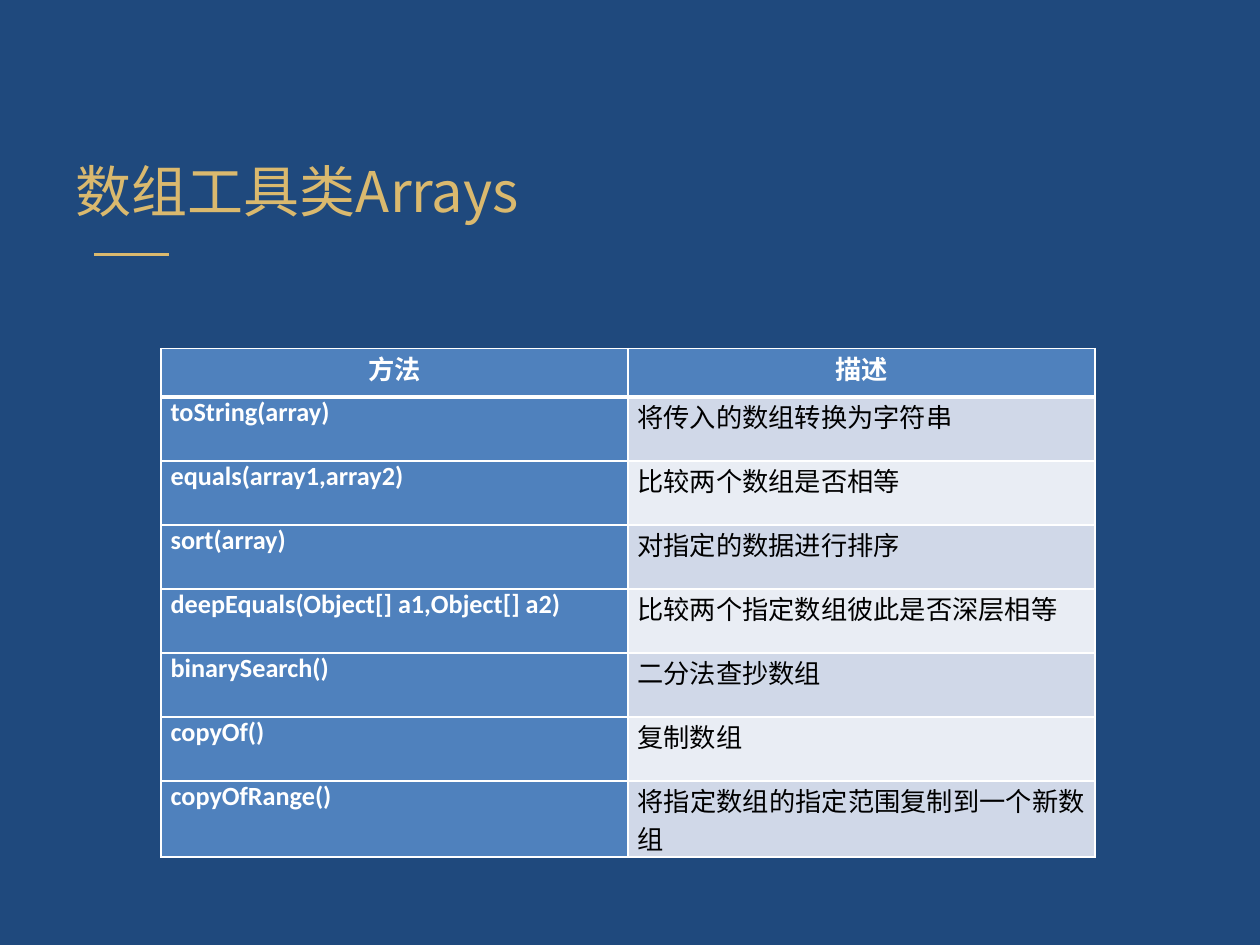
from dataclasses import dataclass

from lxml.etree import SubElement
from pptx import Presentation
from pptx.dml.color import RGBColor as RGB
from pptx.enum.shapes import MSO_CONNECTOR as CONN
from pptx.enum.text import MSO_ANCHOR as ANCHOR, PP_ALIGN as ALIGN
from pptx.oxml.ns import qn
from pptx.util import Cm, Pt


@dataclass(frozen=True)
class Theme:
    background: str = "1F497D"
    gold: str = "DAB96E"
    header: str = "4F81BD"
    bands: tuple = ("D0D8E8", "E9EDF4")
    white: str = "FFFFFF"
    black: str = "000000"
    latin: str = "Calibri"
    cjk: str = "Noto Sans CJK SC"
    title_size: int = 32
    table_size: int = 15


class SlideBuilder:
    def __init__(self, prs, theme):
        self.theme = theme
        self.s = prs.slides.add_slide(prs.slide_layouts[5])
        fill = self.s.background.fill
        fill.solid()
        fill.fore_color.rgb = RGB.from_string(theme.background)

    def run(self, p, text, size, color, font, bold=False):
        r = p.add_run()
        r.text = text
        r.font.size = Pt(size)
        r.font.bold = bold
        r.font.name = font
        r.font.color.rgb = RGB.from_string(color)
        SubElement(r._r.get_or_add_rPr(), qn("a:ea"), typeface=self.theme.cjk)

    def title(self, text, left, top, width, height):
        t = self.theme
        sp = self.s.shapes.title
        sp.left, sp.top, sp.width, sp.height = map(Cm, (left, top, width, height))
        tf = sp.text_frame
        tf.vertical_anchor = ANCHOR.MIDDLE
        p = tf.paragraphs[0]
        p.alignment = ALIGN.LEFT
        self.run(p, text, t.title_size, t.gold, t.cjk)

    def rule(self, left, top, width):
        line = self.s.shapes.add_connector(
            CONN.STRAIGHT, Cm(left), Cm(top), Cm(left + width), Cm(top))
        line.line.color.rgb = RGB.from_string(self.theme.gold)
        line.line.width = Pt(1.5)
        SubElement(line._element.spPr, qn("a:effectLst"))

    def borders(self, cell, top, bottom):
        tcPr = cell._tc.get_or_add_tcPr()
        for side, width in (("L", 1), ("R", 1), ("T", top), ("B", bottom)):
            ln = SubElement(tcPr, qn(f"a:ln{side}"), w=str(Pt(width)))
            fill = SubElement(ln, qn("a:solidFill"))
            SubElement(fill, qn("a:srgbClr"), val=self.theme.white)

    def cell(self, cell, text, fill, color, bold, align, top=1, bottom=1):
        cell.margin_left = cell.margin_right = Cm(0.19)
        cell.margin_top = cell.margin_bottom = 0
        self.borders(cell, top, bottom)
        cell.fill.solid()
        cell.fill.fore_color.rgb = RGB.from_string(fill)
        p = cell.text_frame.paragraphs[0]
        p.alignment = align
        self.run(p, text, self.theme.table_size, color, self.theme.latin, bold)

    def table(self, headings, rows, left, top, width, head_height, row_height):
        t = self.theme
        height = head_height + row_height * len(rows)
        table = self.s.shapes.add_table(
            len(rows) + 1, len(headings),
            Cm(left), Cm(top), Cm(width), Cm(height)).table
        for row in table.rows:
            row.height = Cm(row_height)
        table.rows[0].height = Cm(head_height)
        for j, heading in enumerate(headings):
            self.cell(table.cell(0, j), heading, t.header, t.white, True,
                      ALIGN.CENTER, bottom=3)
        for i, (method, description) in enumerate(rows, 1):
            edge = 3 if i == 1 else 1
            self.cell(table.cell(i, 0), method, t.header, t.white, True,
                      ALIGN.JUSTIFY, top=edge)
            self.cell(table.cell(i, 1), description, t.bands[(i - 1) % 2],
                      t.black, False, ALIGN.JUSTIFY, top=edge)


METHODS = [
    ("toString(array)", "将传入的数组转换为字符串"),
    ("equals(array1,array2)", "比较两个数组是否相等"),
    ("sort(array)", "对指定的数据进行排序"),
    ("deepEquals(Object[] a1,Object[] a2)", "比较两个指定数组彼此是否深层相等"),
    ("binarySearch()", "二分法查抄数组"),
    ("copyOf()", "复制数组"),
    ("copyOfRange()", "将指定数组的指定范围复制到一个新数组"),
]


def main():
    prs = Presentation()
    prs.slide_width, prs.slide_height = Cm(25.4), Cm(19.05)
    slide = SlideBuilder(prs, Theme())
    slide.rule(1.9, 5.13, 1.5)
    slide.title("数组工具类Arrays", 1.27, 2.72, 13.44, 2.21)
    slide.table(("方法", "描述"), METHODS, 3.25, 7.03, 18.82, 0.97, 1.29)
    prs.save("out.pptx")


if __name__ == "__main__":
    main()
